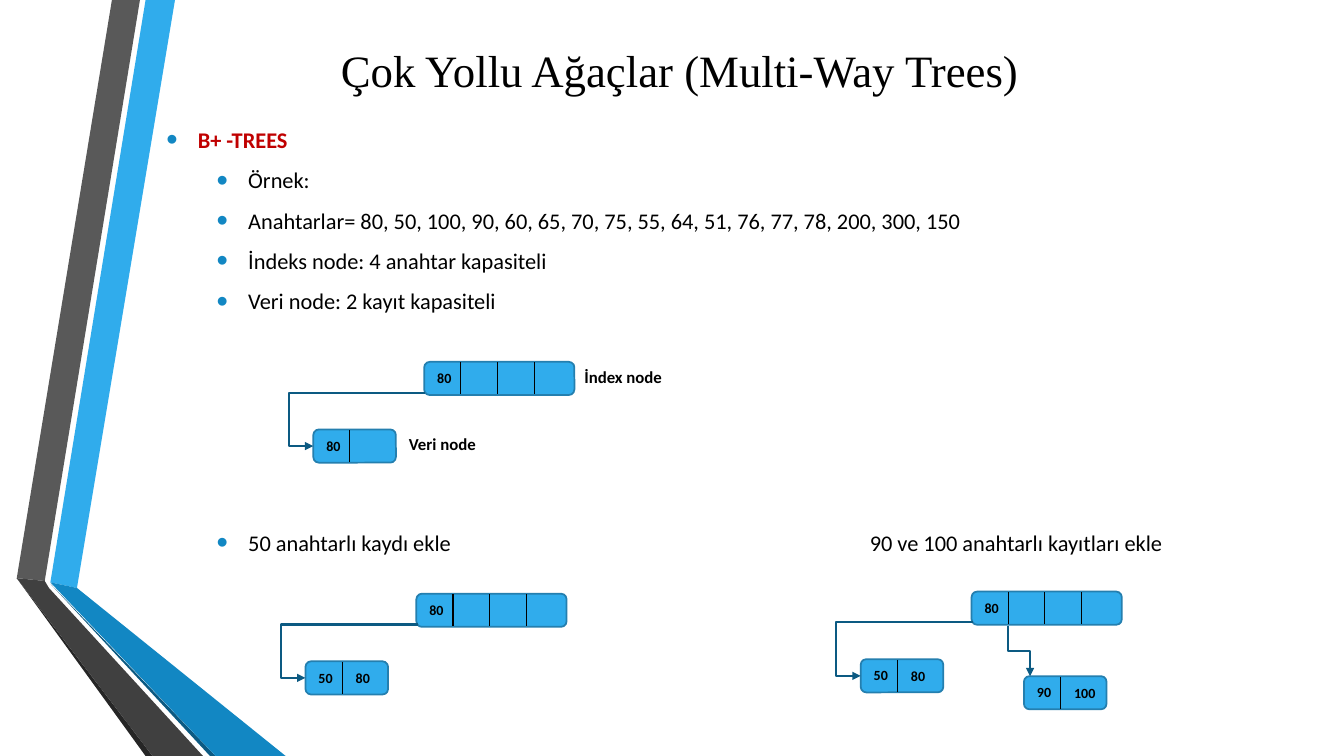
from lxml import etree
from pptx import Presentation
from pptx.dml.color import RGBColor
from pptx.enum.shapes import MSO_CONNECTOR, MSO_SHAPE
from pptx.enum.text import MSO_ANCHOR, MSO_AUTO_SIZE, PP_ALIGN
from pptx.oxml.ns import qn
from pptx.util import Pt

ROUND = MSO_SHAPE.ROUNDED_RECTANGLE
LINE, ELBOW = MSO_CONNECTOR.STRAIGHT, MSO_CONNECTOR.ELBOW
MIDDLE, TOP = MSO_ANCHOR.MIDDLE, MSO_ANCHOR.TOP
CENTER, JUSTIFY = PP_ALIGN.CENTER, PP_ALIGN.JUSTIFY
NO_FIT = MSO_AUTO_SIZE.NONE

CELL, HIGH = 26.2, 23.7
INDEX_W, DATA_W = 107.3, 59
DATA_X, DATA_Y = -79.2, 48.3
NEXT_X, NEXT_Y = 37.4, 60.4

RIBBON = [
    ("30ACEC", [(36, 416.2), (55.4, 419.8), (124.6, 0), (104.4, 0)]),
    ("595959", [(100.1, 0), (79.9, 0), (11.5, 412.6), (31.7, 415.4)]),
    ("262626", [(11.5, 412.6), (104.4, 540), (108.7, 540)]),
    ("0C5A82", [(36, 416.9), (149.8, 540), (154.1, 540)]),
    ("1287C3", [(36, 416.2), (154.1, 540), (203.8, 540), (55.4, 419.8)]),
    ("404040", [(145.4, 540), (34.6, 419.8), (31.7, 415.4), (11.5, 412.6),
                (108.7, 540)]),
]

LINES = [
    "Örnek:",
    "Anahtarlar= 80, 50, 100, 90, 60, 65, 70, 75, 55, 64, 51, 76, 77, 78, 200, 300, 150",
    "İndeks node: 4 anahtar kapasiteli",
    "Veri node: 2 kayıt kapasiteli",
    "50 anahtarlı kaydı ekle\t90 ve 100 anahtarlı kayıtları ekle",
]


def color(text):
    return RGBColor.from_string(text)


def sub(parent, tag, **attrs):
    return etree.SubElement(parent, qn(tag), attrs)


def place(shape, x, y, w, h):
    shape.left, shape.top, shape.width, shape.height = Pt(x), Pt(y), Pt(w), Pt(h)


def write(para, text, size, tint="000000", bold=False, face="Calibri"):
    run = para.add_run()
    run.text = text
    font = run.font
    font.name, font.size, font.bold = face, Pt(size), bold
    font.color.rgb = color(tint)


def label(shapes, x, y, w, h, text, size):
    box = shapes.add_textbox(Pt(x), Pt(y), Pt(w), Pt(h))
    box.text_frame.word_wrap = True
    write(box.text_frame.paragraphs[0], text, size, bold=True)


def link(shapes, kind, x1, y1, x2, y2, tint, width):
    line = shapes.add_connector(kind, Pt(x1), Pt(y1), Pt(x2), Pt(y2))
    line.line.color.rgb = color(tint)
    line.line.width = Pt(width)
    sub(line._element.spPr, "a:effectLst")
    return line


def arrow(shapes, x1, y1, x2, y2, bend):
    line = link(shapes, ELBOW, x1, y1, x2, y2, "0C5A82", 1.5)
    sub(line.line._get_or_add_ln(), "a:tailEnd", type="triangle")
    guides = line._element.spPr.find(qn("a:prstGeom")).get_or_add_avLst()
    sub(guides, "a:gd", name="adj1", fmla=f"val {round(bend * 100000)}")
    return line


def drop(shapes, x1, y1, x2, y2):
    mid_x, mid_y = (x1 + x2) / 2, (y1 + y2) / 2
    run, fall = (x2 - x1) / 2, (y2 - y1) / 2
    line = arrow(shapes, mid_x + fall, mid_y - run, mid_x - fall, mid_y + run, 0.5)
    line._element.spPr.find(qn("a:xfrm")).set("rot", "16200000")


def node(shapes, x, y, w, cells, keys):
    box = shapes.add_shape(ROUND, Pt(x), Pt(y), Pt(w), Pt(HIGH))
    box.shadow.inherit = False
    box.fill.solid()
    box.fill.fore_color.rgb = color("30ACEC")
    box.line.color.rgb = color("247FAF")
    box.line.width = Pt(1.25)
    for i in range(1, cells):
        edge = x + i * CELL
        link(shapes, LINE, edge, y + 0.4, edge, y + HIGH - 0.6, "000000", 0.75)
    for i, key in enumerate(keys):
        wide = 30 if len(key) > 2 else 26
        label(shapes, x + 2.2 + i * (CELL + 0.4), y + 2 + i * 0.6, wide, 19.4, key, 10)


def tree(slide, x, y, first, second=(), names=()):
    shapes = slide.shapes.add_group_shape().shapes
    node(shapes, x, y, INDEX_W, 4, ["80"])
    left, low = x + DATA_X, y + DATA_Y
    node(shapes, left, low, DATA_W, 2, first)
    arrow(shapes, x + 0.9, y + 22, left, low + HIGH / 2, 1.22)
    if second:
        node(shapes, x + NEXT_X, y + NEXT_Y, DATA_W, 2, second)
        drop(shapes, x + CELL, y + 24.4, x + NEXT_X + 4.4, y + NEXT_Y)
    spots = [(x + INDEX_W, y), (left + 61.2, low - 0.7)]
    for (lx, ly), name in zip(spots, names):
        label(shapes, lx, ly, 73.4, 21.8, name, 12)


def ribbon(slide):
    group = slide.shapes.add_group_shape()
    for tint, points in RIBBON:
        form = group.shapes.build_freeform(*points[0], scale=12700)
        form.add_line_segments(points[1:])
        band = form.convert_to_shape()
        band.shadow.inherit = False
        band.fill.solid()
        band.fill.fore_color.rgb = color(tint)
        band.line.fill.background()
    slide.shapes.element.insert(2, group.element)


def title(shape, x, y, w, h):
    place(shape, x, y, w, h)
    frame = shape.text_frame
    frame.auto_size, frame.vertical_anchor = NO_FIT, MIDDLE
    para = frame.paragraphs[0]
    para.alignment = CENTER
    write(para, "Çok Yollu Ağaçlar (Multi-Way Trees)", 32, face="Times New Roman")


def bullet(para, level, indent):
    para.level = level
    para.alignment = JUSTIFY
    para.line_spacing = 1.5
    para.space_before = para.space_after = Pt(0)
    props = para._p.get_or_add_pPr()
    props.set("marL", str(Pt(indent)))
    props.set("indent", str(-Pt(22.5)))
    sub(sub(props, "a:buClr"), "a:srgbClr", val="1287C3")
    sub(props, "a:buSzPct", val="145000")
    sub(props, "a:buFont", typeface="Arial")
    sub(props, "a:buChar", char="•")
    return props


def body(shape, x, y, w, h):
    place(shape, x, y, w, h)
    frame = shape.text_frame
    frame.auto_size, frame.vertical_anchor = NO_FIT, TOP
    para = frame.paragraphs[0]
    bullet(para, 0, 22.5)
    write(para, "B+ -TREES", 16, "C00000", True)
    for text in LINES:
        para = frame.add_paragraph()
        props = bullet(para, 1, 58.5)
        if "\t" in text:
            para.space_before = Pt(144)
            sub(sub(props, "a:tabLst"), "a:tab", pos=str(Pt(502.5)), algn="l")
        write(para, text, 16)


def main():
    deck = Presentation()
    deck.slide_width, deck.slide_height = Pt(960), Pt(540)
    slide = deck.slides.add_slide(deck.slide_layouts[1])
    ribbon(slide)
    title(slide.shapes.title, 111.6, 12.2, 748, 75)
    body(slide.placeholders[1], 111.6, 77, 782.6, 329.8)
    tree(slide, 303, 258.5, ["80"], names=["İndex node", "Veri node"])
    tree(slide, 297.4, 424.1, ["50", "80"])
    tree(slide, 694, 422.6, ["50", "80"], ["90", "100"])
    deck.save("out.pptx")


if __name__ == "__main__":
    main()
